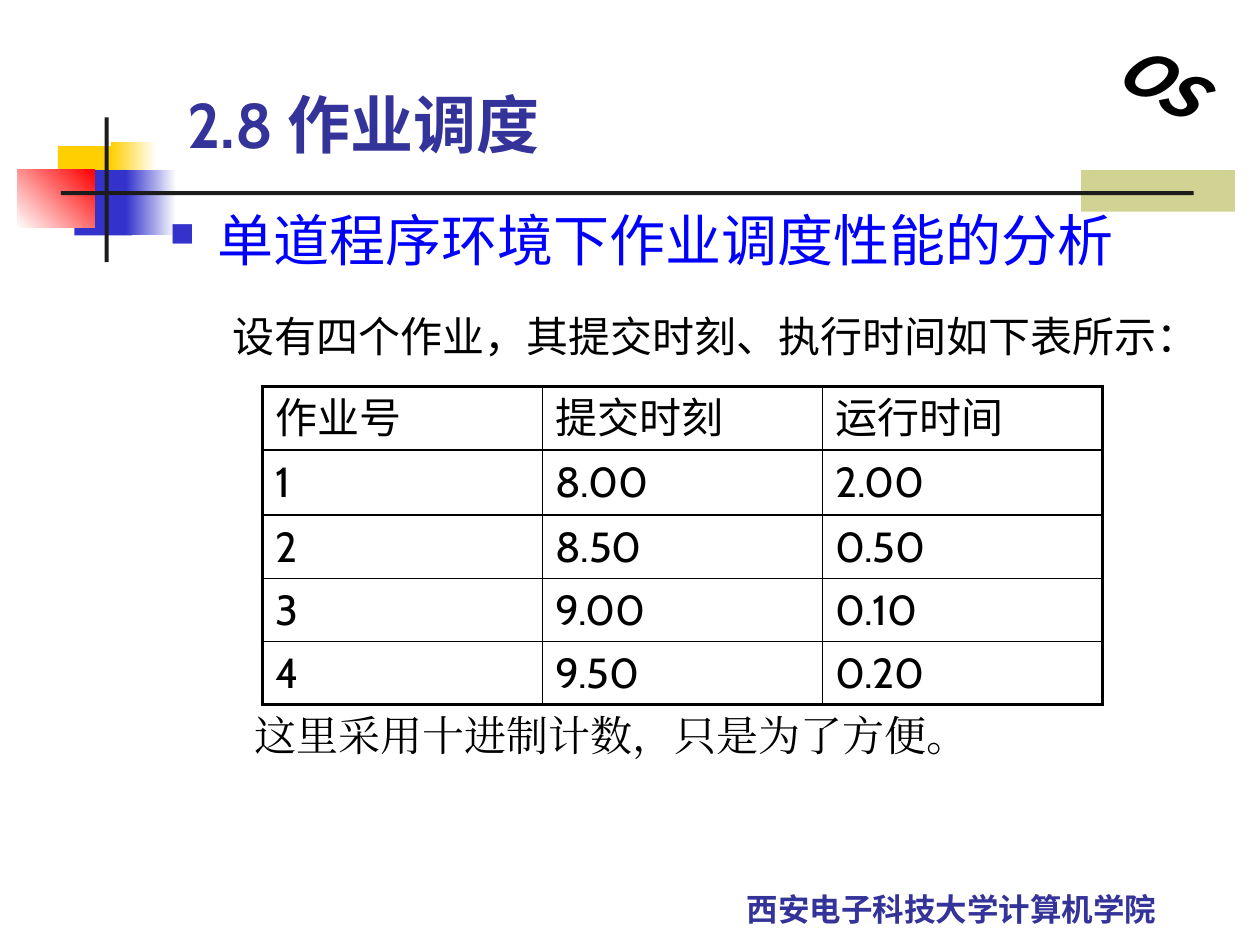
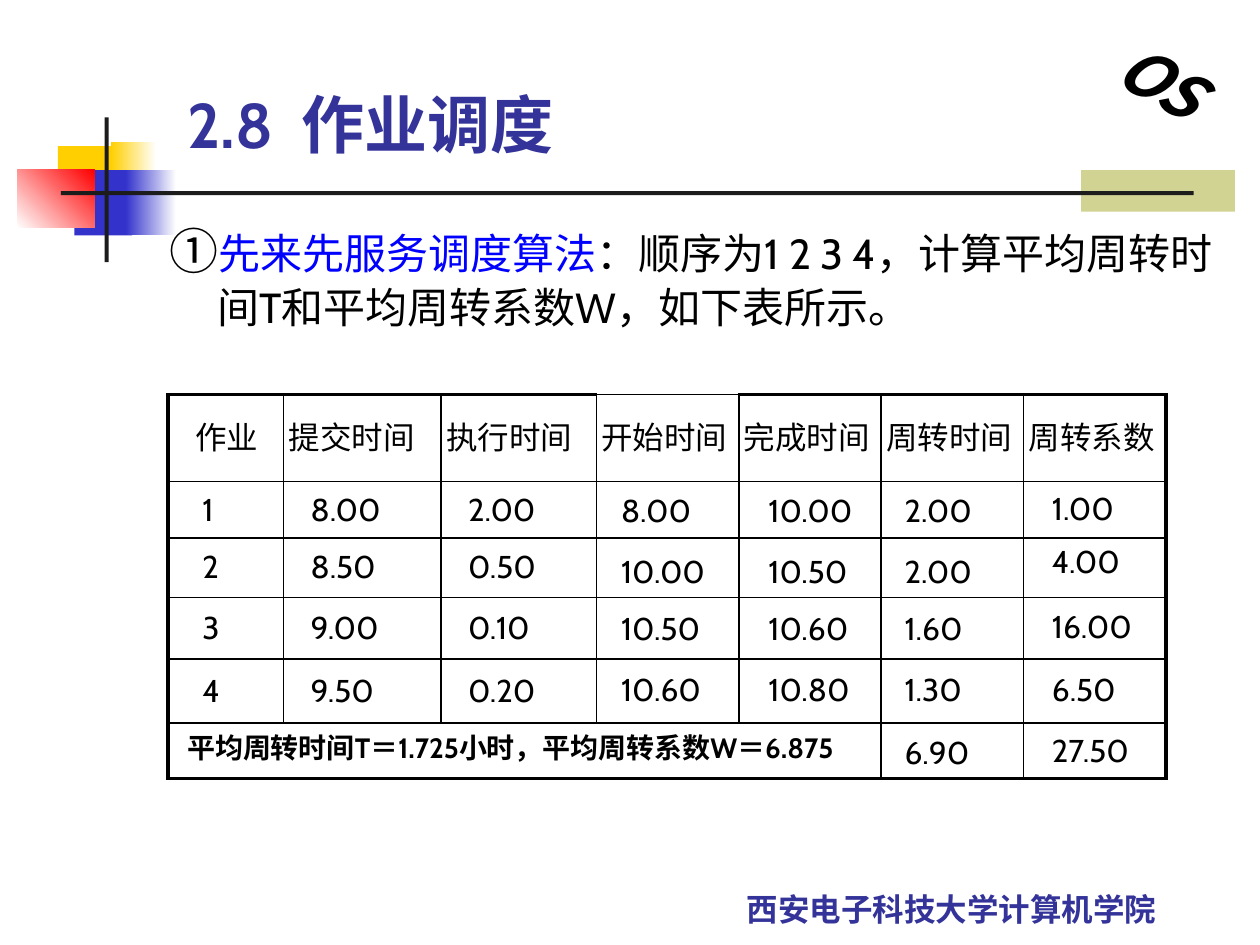
from dataclasses import dataclass
from lxml.etree import SubElement
from pptx import Presentation
from pptx.dml.color import RGBColor
from pptx.enum.shapes import MSO_SHAPE as SHAPE
from pptx.enum.text import MSO_ANCHOR as ANCHOR, MSO_AUTO_SIZE as AUTO, PP_ALIGN as ALIGN
from pptx.oxml.ns import qn
from pptx.util import Pt


@dataclass(frozen=True)
class Theme:
    face: str = "Cabin"
    footer_face: str = "Noto Sans CJK SC"
    mark_face: str = "Noto Sans CJK JP"
    note_face: str = "Times New Roman"
    ink: str = "000000"
    title: str = "333399"
    accent: str = "0000FF"
    bullet: str = "3333CC"
    yellow: str = "FFCF01"
    red: str = "FF0000"
    white: str = "FFFFFF"
    olive: str = "D1D393"
    rule: str = "1C1C1C"
    title_size: int = 36
    heading_size: int = 32
    number_size: int = 28
    body_size: int = 24
    small_size: int = 18
    summary_size: int = 16
    thin: float = 0.96
    thick: float = 2.21


T = Theme()

BANDS = [
    ((617.8, 97.2, 87.8, 23.8), [T.olive], 0),
    ((33.1, 83.5, 34.6, 37.4), [T.yellow], 0),
    ((63.4, 81.4, 25.9, 37.4), [T.yellow, T.white], 0),
    ((42.5, 97.2, 33.1, 37.4), [T.bullet], 0),
    ((72, 97.2, 28.8, 37.4), [T.bullet, T.white], 0),
    ((10, 97, 44, 33.3), [T.white, T.red], 45),
    ((59.8, 67, 2.3, 82.8), [T.rule], 0),
    ((34.8, 109.2, 647.3, 2.3), [T.rule], 0),
]
FOOTER = "西安电子科技大学计算机学院 "
MARK = "OS"

JOBS_TITLE = "2.8 作业调度"
JOBS_HEADING = "单道程序环境下作业调度性能的分析"
JOBS_INTRO = "设有四个作业，其提交时刻、执行时间如下表所示："
JOBS_NOTE = "这里采用十进制计数，只是为了方便。"
JOBS = [
    ["作业号", "提交时刻", "运行时间"],
    ["1", "8.00", "2.00"],
    ["2", "8.50", "0.50"],
    ["3", "9.00", "0.10"],
    ["4", "9.50", "0.20"],
]

FCFS_TITLE = "2.8  作业调度"
FCFS_INTRO = [
    ("①", dict(size=T.number_size)),
    ("先来先服务调度算法", dict(color=T.accent)),
    ("：顺序为1 2 3 4，计算平均周转时间T和平均周转系数W，如下表所示。", {}),
]
FCFS_HEADER = ["作业", "提交时间", "执行时间", "开始时间", "完成时间", "周转时间", "周转系数"]
FCFS_RESULTS = [
    ["8.00", "10.00", "2.00", "1.00"],
    ["10.00", "10.50", "2.00", "4.00"],
    ["10.50", "10.60", "1.60", "16.00"],
    ["10.60", "10.80", "1.30", "6.50"],
    [None, None, "6.90", "27.50"],
]
RESULT_LEFTS = [347.8, 432, 509.8, 594]
RESULT_TOPS = [277.2, 311.8, 344.2, 379.4, 415.4]
RATIO_TOPS = [275.8, 306, 343.4, 379.4, 414]
FCFS_SUMMARY = "平均周转时间T＝1.725小时，平均周转系数W＝6.875"


def rgb(color):
    return RGBColor.from_string(color)


def write(p, text, face=T.face, size=T.body_size, color=T.ink, bold=False,
          italic=False, spacing=None, align=None, before=0, line=None,
          left=0, first=0, bullet=False):
    p.alignment = align
    p.space_before = Pt(before)
    if line:
        p.line_spacing = line
    ppr = p._p.get_or_add_pPr()
    ppr.set("marL", str(int(Pt(left))))
    ppr.set("indent", str(int(Pt(first))))
    if bullet:
        clr = SubElement(ppr, qn("a:buClr"))
        SubElement(clr, qn("a:srgbClr"), val=T.bullet)
        SubElement(ppr, qn("a:buSzPct"), val="60000")
        SubElement(ppr, qn("a:buFont"), typeface="Wingdings")
        SubElement(ppr, qn("a:buChar"), char="n")
    runs = [(text, {})] if isinstance(text, str) else text
    for part, own in runs:
        r = p.add_run()
        r.text = part
        r.font.name = face
        r.font.size = Pt(own.get("size", size))
        r.font.color.rgb = rgb(own.get("color", color))
        r.font.bold = bold
        r.font.italic = italic
        rpr = r._r.get_or_add_rPr()
        SubElement(rpr, qn("a:ea"), typeface=face)
        if spacing:
            rpr.set("spc", str(round(spacing * 100)))


def add_text(slide, box, text, anchor=ANCHOR.TOP, wrap=True, grow=False, inset=7.2, **fmt):
    sp = slide.shapes.add_textbox(*map(Pt, box))
    tf = sp.text_frame
    tf.word_wrap = wrap
    tf.vertical_anchor = anchor
    tf.margin_left = Pt(inset)
    tf.auto_size = AUTO.SHAPE_TO_FIT_TEXT if grow else AUTO.NONE
    write(tf.paragraphs[0], text, **fmt)
    return sp


def add_band(slide, box, colors, angle):
    sp = slide.shapes.add_shape(SHAPE.RECTANGLE, *map(Pt, box))
    sp.shadow.inherit = False
    sp.line.fill.background()
    if len(colors) == 1:
        sp.fill.solid()
        sp.fill.fore_color.rgb = rgb(colors[0])
    else:
        sp.fill.gradient()
        sp.fill.gradient_angle = angle
        for stop, color in zip(sp.fill.gradient_stops, colors):
            stop.color.rgb = rgb(color)
    return sp


def decorate(slide):
    parts = [add_band(slide, *band) for band in BANDS]
    parts.append(add_text(slide, (383.8, 491.8, 324, 41.8), FOOTER, anchor=ANCHOR.BOTTOM,
                          face=T.footer_face, size=T.small_size, color=T.title,
                          bold=True, align=ALIGN.CENTER))
    mark = add_text(slide, (637.9, 20.2, 46.8, 61.2), MARK, wrap=False, face=T.mark_face,
                    size=T.title_size, bold=True, italic=True, spacing=-1.8,
                    align=ALIGN.CENTER)
    mark.rotation = 29.3
    for sp in parts + [mark]:
        slide.slide_layout.shapes._spTree.append(sp._element)


def add_slide(prs, title, width):
    slide = prs.slides.add_slide(prs.slide_layouts[5])
    sp = slide.shapes.title
    sp.left, sp.top, sp.width, sp.height = map(Pt, (100, 36, width, 59.8))
    tf = sp.text_frame
    tf.auto_size = AUTO.NONE
    tf.vertical_anchor = ANCHOR.BOTTOM
    write(tf.paragraphs[0], title, size=T.title_size, color=T.title, bold=True,
          align=ALIGN.LEFT)
    return slide


def add_border(cell, side, width):
    ln = SubElement(cell._tc.get_or_add_tcPr(), qn("a:ln" + side), w=str(int(Pt(width))))
    fill = SubElement(ln, qn("a:solidFill"))
    SubElement(fill, qn("a:srgbClr"), val=T.ink)


def add_grid(slide, left, top, widths, heights, rows, indents, inset,
             thin_tops=(), **fmt):
    n, m = len(heights), len(widths)
    frame = slide.shapes.add_table(n, m, Pt(left), Pt(top), Pt(sum(widths)), Pt(sum(heights)))
    table = frame.table
    table.first_row = table.horz_banding = False
    for col, width in zip(table.columns, widths):
        col.width = Pt(width)
    for row, height in zip(table.rows, heights):
        row.height = Pt(height)
    for i in range(n):
        for j in range(m):
            cell = table.cell(i, j)
            cell.margin_left = cell.margin_right = Pt(inset)
            cell.vertical_anchor = ANCHOR.MIDDLE
            edges = dict(L=j == 0, R=j == m - 1, T=i == 0 and j not in thin_tops, B=i == n - 1)
            for side, outer in edges.items():
                add_border(cell, side, T.thick if outer else T.thin)
            cell.fill.background()
            if i < len(rows) and j < len(rows[i]):
                write(cell.text_frame.paragraphs[0], rows[i][j], left=indents(i, j), **fmt)
    return table


def build_jobs(prs):
    slide = add_slide(prs, JOBS_TITLE, 446.4)
    decorate(slide)
    body = add_text(slide, (90, 113.8, 612, 101.5), JOBS_HEADING, size=T.heading_size,
                    color=T.accent, before=6.4, left=27, first=-27, bullet=True)
    write(body.text_frame.add_paragraph(), JOBS_INTRO, before=27.4, line=0.8,
          left=58.5, first=-22.5)
    add_text(slide, (138.2, 401.8, 421.9, 36), JOBS_NOTE, anchor=ANCHOR.MIDDLE,
             wrap=False, grow=True, face=T.note_face)
    add_grid(slide, 150, 221, [160] * 3, [36, 37.4, 36, 36, 36], JOBS,
             lambda i, j: 0, 7.2, before=4.8)


def build_fcfs(prs):
    slide = add_slide(prs, FCFS_TITLE, 397.4)
    add_text(slide, (90, 126, 612, 65.5), FCFS_INTRO, line=Pt(30), left=27, first=-27)

    def indents(i, j):
        if i == 0:
            return 12.6 if j == 0 else 0
        return 16.8 if j == 0 else 12.6

    table = add_grid(slide, 96, 225.4, [66, 90, 88.8, 81.4, 81.4, 81.4, 81.4],
                     [49.7, 32.4, 33.8, 35.3, 36.7, 31.7],
                     [FCFS_HEADER] + JOBS[1:], indents, 2.9, thin_tops=(3,),
                     size=T.small_size, before=3.6)
    table.cell(5, 0).merge(table.cell(5, 4))
    for i, row in enumerate(FCFS_RESULTS):
        tops = [RESULT_TOPS[i]] * 3 + [RATIO_TOPS[i]]
        for left, top, value in zip(RESULT_LEFTS, tops, row):
            if value:
                add_text(slide, (left, top, 65.5, 28.8), value, grow=True,
                         size=T.small_size, before=9)
    add_text(slide, (96, 414, 419.8, 45.4), FCFS_SUMMARY, grow=True, inset=11,
             size=T.summary_size, bold=True, before=3.2)


def main():
    prs = Presentation()
    prs.slide_width, prs.slide_height = Pt(720), Pt(540)
    build_jobs(prs)
    build_fcfs(prs)
    prs.save("out.pptx")


if __name__ == "__main__":
    main()
